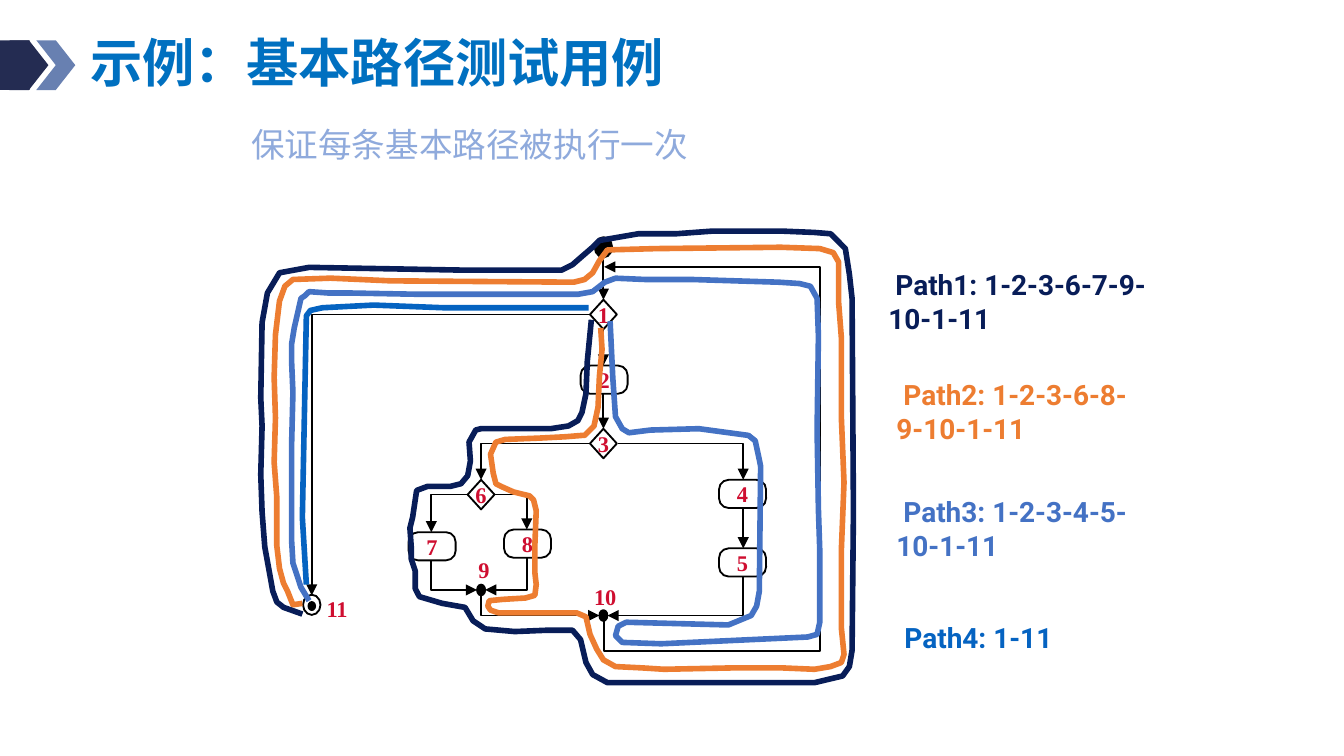
from lxml import etree
from pptx import Presentation
from pptx.dml.color import RGBColor
from pptx.enum.shapes import MSO_CONNECTOR, MSO_SHAPE
from pptx.enum.text import MSO_ANCHOR, PP_ALIGN
from pptx.oxml.ns import qn
from pptx.util import Inches, Pt

ELBOW, STRAIGHT = MSO_CONNECTOR.ELBOW, MSO_CONNECTOR.STRAIGHT
RECTANGLE, CHEVRON = MSO_SHAPE.RECTANGLE, MSO_SHAPE.CHEVRON
ROUNDED, DIAMOND, OVAL = MSO_SHAPE.ROUNDED_RECTANGLE, MSO_SHAPE.DIAMOND, MSO_SHAPE.OVAL
MIDDLE, TOP = MSO_ANCHOR.MIDDLE, MSO_ANCHOR.TOP
CENTER, LEFT = PP_ALIGN.CENTER, PP_ALIGN.LEFT

BLACK = RGBColor(0x00, 0x00, 0x00)
WHITE = RGBColor(0xFF, 0xFF, 0xFF)
DARK_NAVY = RGBColor(0x24, 0x2C, 0x52)
SLATE = RGBColor(0x68, 0x80, 0xB1)
TITLE_BLUE = RGBColor(0x00, 0x70, 0xC0)
PALE_BLUE = RGBColor(0x8F, 0xAA, 0xDC)
RED = RGBColor(0xCF, 0x0E, 0x30)
NAVY = RGBColor(0x08, 0x1D, 0x58)
ORANGE = RGBColor(0xED, 0x7D, 0x31)
BLUE = RGBColor(0x44, 0x72, 0xC4)
LINK_BLUE = RGBColor(0x05, 0x63, 0xC1)

SLIDE_WIDTH = Inches(10)
SLIDE_HEIGHT = SLIDE_WIDTH * 9 // 16
CELL = SLIDE_WIDTH // 1000

TITLE_FONT = {"name": "Noto Sans CJK SC", "size": Pt(28), "bold": True}
SUBTITLE_FONT = {"name": "Noto Sans CJK SC", "size": Pt(18)}
PATH_FONT = {"name": "Roboto", "size": Pt(15), "bold": True}
NODE_FONT = {"name": "Times New Roman", "size": Pt(12), "bold": True}

DECISIONS = {"1": (349, 134), "3": (349, 230), "6": (258, 268)}
STEPS = {"2": (349.5, 182.5), "4": (452.5, 267.5), "5": (452.5, 318.5),
         "7": (221.5, 306.5), "8": (292.5, 304.5)}
DOTS = [(349, 84, 13, 15, BLACK), (349, 358, 6, 8, BLACK), (258, 339, 6, 8, BLACK),
        (132, 350, 13, 15, WHITE), (132, 351, 5, 6, BLACK)]
DOT_LABELS = {"9": (249, 310, 20), "10": (335, 330, 32), "11": (136, 339, 31)}

STRAIGHT_LINKS = [(349, 92, 349, 123), (349, 145, 349, 172), (349, 193, 349, 219),
                  (453, 278, 453, 308)]
BENT_LINKS = [(339, 230, 258, 257), (360, 230, 453, 257), (268, 268, 292, 294),
              (248, 268, 221, 296), (339, 134, 132, 343)]
MERGE_LINKS = [(255, 339, 221, 317), (261, 339, 292, 315), (346, 358, 258, 343),
               (352, 358, 453, 329)]
LOOP_BACK = (481, 230.33, 218, 230)
LOOP_BENDS = {"adj1": -8800, "adj2": 51100000}
QUARTER_TURN = 90 * 60000

TRACE_4 = [(128, 335), (125, 285), (128, 135), (131, 131), (140, 129), (178, 127), (230, 129),
           (338, 129)]
TRACE_3 = [(354, 139), (356, 181), (358, 210), (363, 219), (368, 222), (384, 220), (420, 219),
           (457, 224), (462, 228), (465, 242), (466, 247), (465, 340), (463, 351), (459, 358),
           (442, 365), (366, 363), (360, 366), (358, 373), (363, 378), (392, 379), (501, 374),
           (508, 372), (510, 363), (510, 310), (509, 279), (508, 220), (509, 150), (508, 122),
           (503, 113), (495, 111), (480, 110), (416, 108), (381, 108), (358, 107), (350, 110),
           (341, 117), (330, 119), (294, 119), (212, 119), (159, 118), (144, 118), (130, 117),
           (127, 120), (124, 122), (119, 144), (117, 156), (117, 169), (118, 192), (117, 231),
           (117, 302), (118, 319), (124, 337), (130, 347)]
TRACE_2 = [(347, 144), (348, 160), (346, 180), (345, 203), (342, 217), (335, 224), (333, 224),
           (321, 225), (302, 226), (276, 227), (269, 229), (265, 238), (267, 252), (269, 260),
           (273, 262), (282, 266), (294, 269), (297, 272), (299, 280), (298, 306), (298, 326),
           (299, 335), (298, 343), (291, 345), (274, 346), (264, 347), (263, 351), (265, 354),
           (271, 356), (283, 356), (329, 356), (336, 359), (339, 372), (344, 383), (349, 391),
           (358, 396), (378, 397), (394, 398), (445, 397), (482, 397), (506, 398), (518, 396),
           (526, 393), (528, 387), (526, 367), (526, 310), (528, 259), (526, 210), (526, 151),
           (524, 125), (524, 95), (520, 88), (510, 85), (481, 84), (389, 85), (352, 86),
           (346, 94), (341, 103), (335, 108), (327, 110), (191, 109), (146, 107), (118, 108),
           (112, 113), (108, 124), (105, 149), (104, 181), (105, 211), (104, 244), (106, 270),
           (106, 306), (108, 323), (111, 334), (114, 340), (116, 345), (118, 350), (125, 349)]
TRACE_1 = [(340, 138), (337, 169), (336, 193), (333, 207), (330, 213), (323, 217), (310, 219),
           (258, 219), (254, 220), (249, 229), (250, 243), (248, 254), (243, 260), (235, 262),
           (218, 262), (210, 265), (207, 285), (205, 293), (206, 307), (206, 316), (209, 325),
           (209, 338), (212, 344), (229, 349), (246, 352), (252, 362), (261, 368), (283, 370),
           (307, 369), (326, 369), (332, 376), (336, 393), (341, 402), (352, 408), (370, 408),
           (506, 408), (527, 403), (532, 396), (534, 384), (535, 280), (534, 122), (532, 104),
           (529, 85), (518, 74), (506, 73), (482, 72), (458, 72), (430, 72), (403, 74),
           (375, 74), (346, 79), (341, 84), (334, 90), (326, 97), (318, 101), (242, 101),
           (130, 99), (108, 103), (99, 118), (95, 140), (94, 196), (95, 217), (94, 253),
           (95, 281), (97, 307), (103, 340), (106, 348), (111, 352), (125, 357)]
TRACES = [(TRACE_4, LINK_BLUE), (TRACE_3, BLUE), (TRACE_2, ORANGE), (TRACE_1, NAVY)]

PATH_LABELS = [(" Path1: 1-2-3-6-7-9-10-1-11", 0, 0, 219, 58, NAVY),
               (" Path2: 1-2-3-6-8-9-10-1-11", 6, 82, 188, 58, ORANGE),
               (" Path3: 1-2-3-4-5-10-1-11", 6, 169, 206, 58, BLUE),
               ("Path4: 1-11", 12, 263, 126, 33, LINK_BLUE)]


def place(box, x, y, width=0, height=0):
    left, top = box
    return [int(CELL * value) for value in (left + x, top + y, width, height)]


def write_text(shape, text, style, color, anchor=TOP, align=LEFT, wrap=True, inset=(7, 4)):
    frame = shape.text_frame
    across, down = inset
    settings = {"word_wrap": wrap, "vertical_anchor": anchor,
                "margin_left": CELL * across, "margin_right": CELL * across,
                "margin_top": CELL * down, "margin_bottom": CELL * down}
    for name, value in settings.items():
        setattr(frame, name, value)
    paragraph = frame.paragraphs[0]
    paragraph.alignment = align
    run = paragraph.add_run()
    run.text = text
    for name, value in style.items():
        setattr(run.font, name, value)
    run.font.color.rgb = color
    east_asian = etree.SubElement(run.font._element, qn("a:ea"))
    east_asian.set("typeface", style["name"])
    return paragraph


def add_text(slide, box, lengths, text, style, color, **options):
    shape = slide.shapes.add_textbox(*place(box, *lengths))
    return write_text(shape, text, style, color, **options)


def finish(shape, fill, line, weight=1):
    shape.shadow.inherit = False
    for part, color in ((shape.fill, fill), (shape.line.fill, line)):
        if color is None:
            part.background()
        else:
            part.solid()
            part.fore_color.rgb = color
    if line is not None:
        shape.line.width = Pt(weight)


def add_block(slide, box, kind, lengths, fill=None, line=None):
    shape = slide.shapes.add_shape(kind, *place(box, *lengths))
    finish(shape, fill, line)
    return shape


def add_link(slide, box, points, preset="line", end="tailEnd"):
    start, stop = place(box, *points[:2])[:2], place(box, *points[2:])[:2]
    kind = STRAIGHT if preset == "line" else ELBOW
    link = slide.shapes.add_connector(kind, *start, *stop)
    link.line.color.rgb = BLACK
    link.line.width = Pt(1)
    etree.SubElement(link.line._get_or_add_ln(), qn("a:" + end)).set("type", "triangle")
    properties = link._element.spPr
    etree.SubElement(properties, qn("a:effectLst"))
    properties.find(qn("a:prstGeom")).set("prst", preset)
    return properties


def add_loop_back(slide, box):
    properties = add_link(slide, box, LOOP_BACK, "bentConnector4")
    properties.find(qn("a:xfrm")).set("rot", str(QUARTER_TURN))
    guides = properties.find(qn("a:prstGeom")).find(qn("a:avLst"))
    for name, value in LOOP_BENDS.items():
        guide = etree.SubElement(guides, qn("a:gd"))
        guide.set("name", name)
        guide.set("fmla", f"val {value}")


def add_trace(slide, box, points, color):
    corners = [place(box, *point)[:2] for point in points]
    builder = slide.shapes.build_freeform(*corners[0])
    builder.add_line_segments(corners[1:], close=False)
    finish(builder.convert_to_shape(), None, color, 3)


def build_heading(slide, box):
    add_block(slide, box, RECTANGLE, (0, 5, 22, 37), DARK_NAVY)
    for x, color in ((27, SLATE), (7, DARK_NAVY)):
        add_block(slide, box, CHEVRON, (x, 5, 29, 37), color)
    title = add_text(slide, box, (60, 0, 478, 47), "示例：基本路径测试用例", TITLE_FONT,
                     TITLE_BLUE, anchor=MIDDLE)
    title.line_spacing = 0.9
    add_text(slide, box, (177, 62, 363, 40), "保证每条基本路径被执行一次", SUBTITLE_FONT,
             PALE_BLUE, inset=(10, 5))


def build_flow_graph(slide, box):
    add_loop_back(slide, box)
    for links, preset, end in ((STRAIGHT_LINKS, "line", "tailEnd"),
                               (BENT_LINKS, "bentConnector2", "tailEnd"),
                               (MERGE_LINKS, "bentConnector2", "headEnd")):
        for points in links:
            add_link(slide, box, points, preset, end)
    for nodes, kind, width, height in ((DECISIONS, DIAMOND, 20, 22), (STEPS, ROUNDED, 35, 21)):
        for label, (x, y) in nodes.items():
            fill = WHITE if kind == DIAMOND or label == "4" else None
            node = add_block(slide, box, kind, (x - width / 2, y - height / 2, width, height),
                             fill, BLACK)
            if kind == ROUNDED:
                node.adjustments[0] = 0.34
            write_text(node, label, NODE_FONT, RED, MIDDLE, CENTER, False)
    for x, y, width, height, fill in DOTS:
        add_block(slide, box, OVAL, (x - width / 2, y - height / 2, width, height), fill, BLACK)
    for label, (x, y, width) in DOT_LABELS.items():
        add_text(slide, box, (x, y, width, 28), label, NODE_FONT, RED, wrap=label == "9")
    for points, color in TRACES:
        add_trace(slide, box, points, color)


def build_path_list(slide, box):
    for text, x, y, width, height, color in PATH_LABELS:
        add_text(slide, box, (x, y, width, height), text, PATH_FONT, color, wrap=height > 33)


def main():
    presentation = Presentation()
    presentation.slide_width, presentation.slide_height = SLIDE_WIDTH, SLIDE_HEIGHT
    slide = presentation.slides.add_slide(presentation.slide_layouts[6])
    build_heading(slide, (0, 25))
    build_path_list(slide, (654, 195))
    build_flow_graph(slide, (100, 100))
    presentation.save("out.pptx")


if __name__ == "__main__":
    main()
